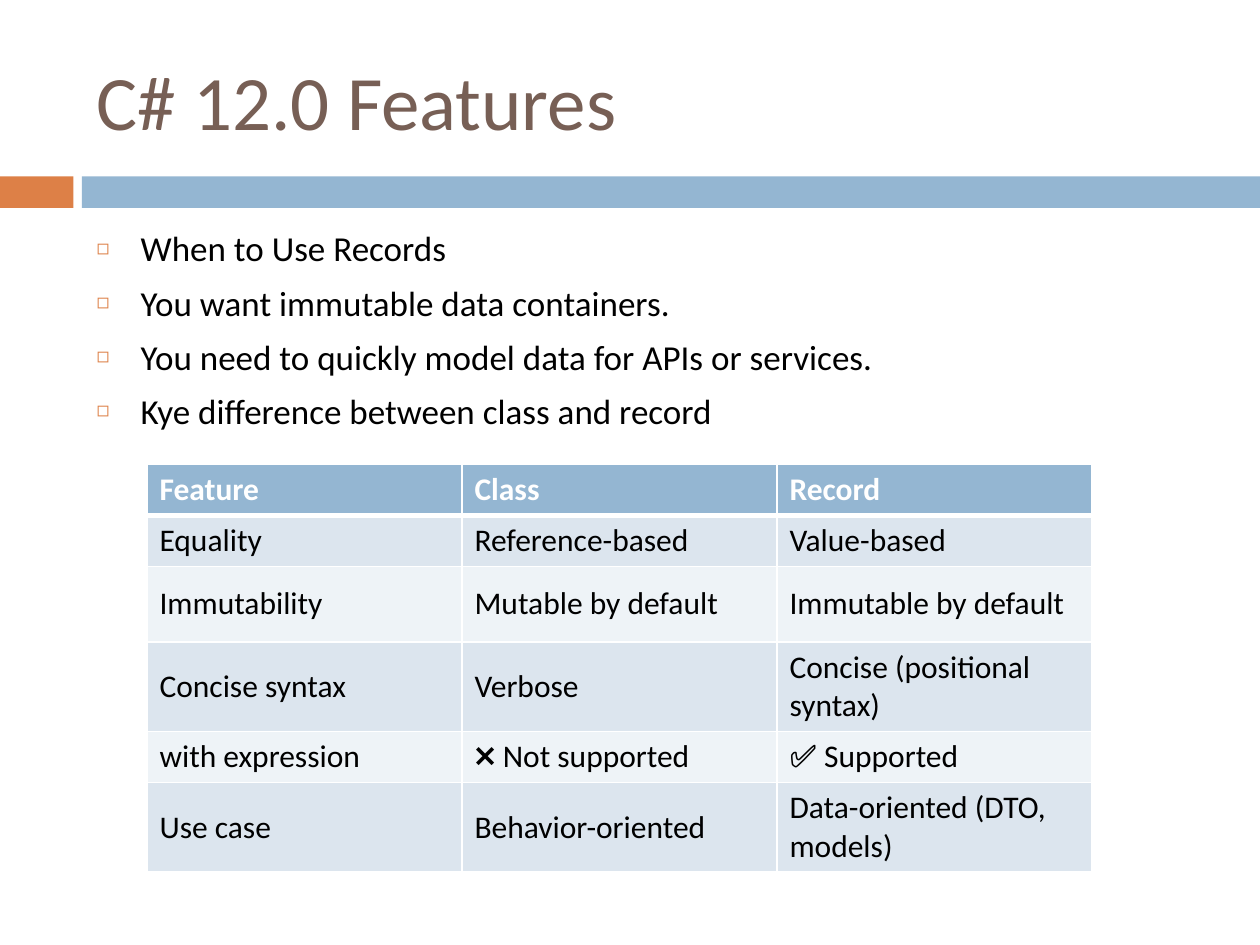
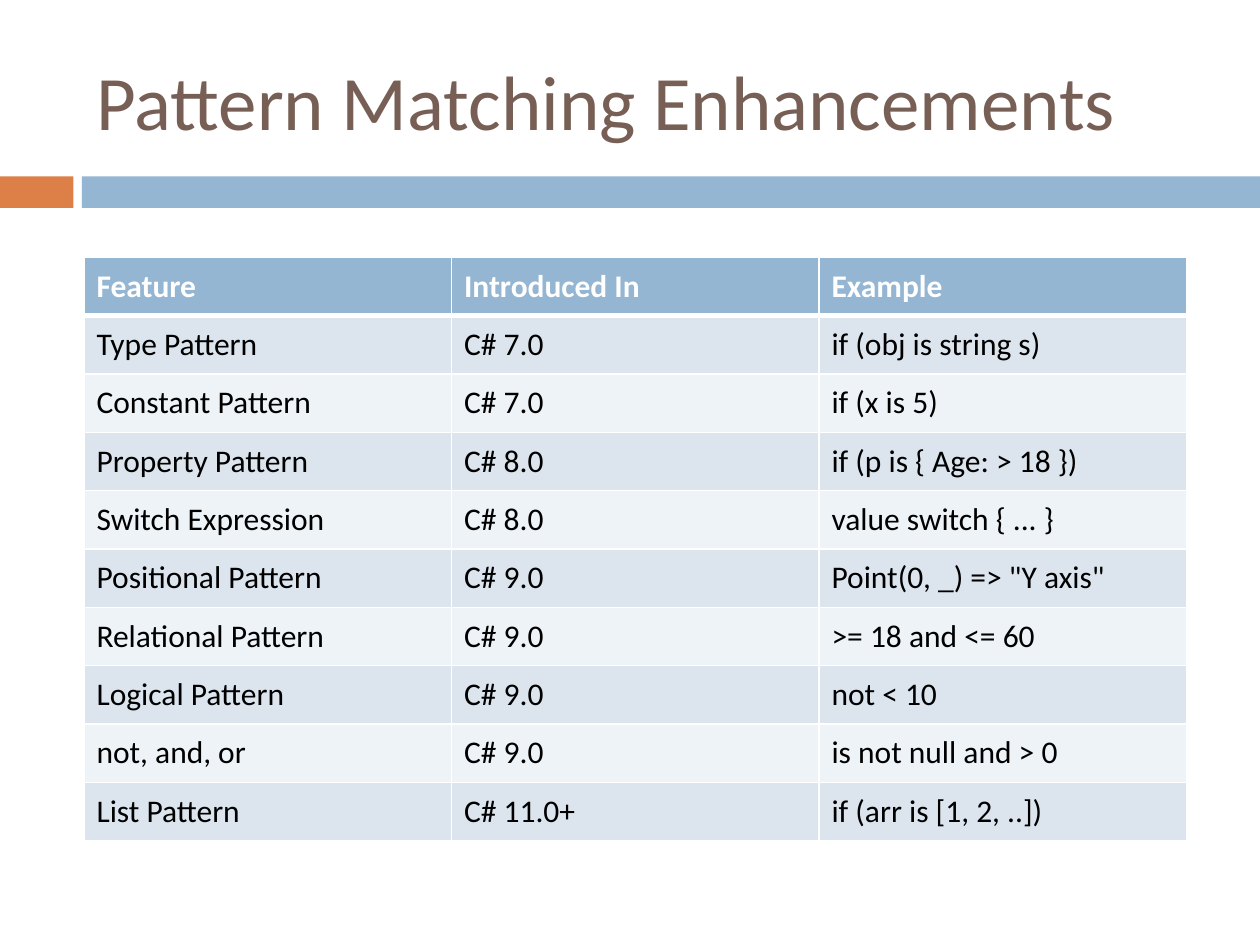
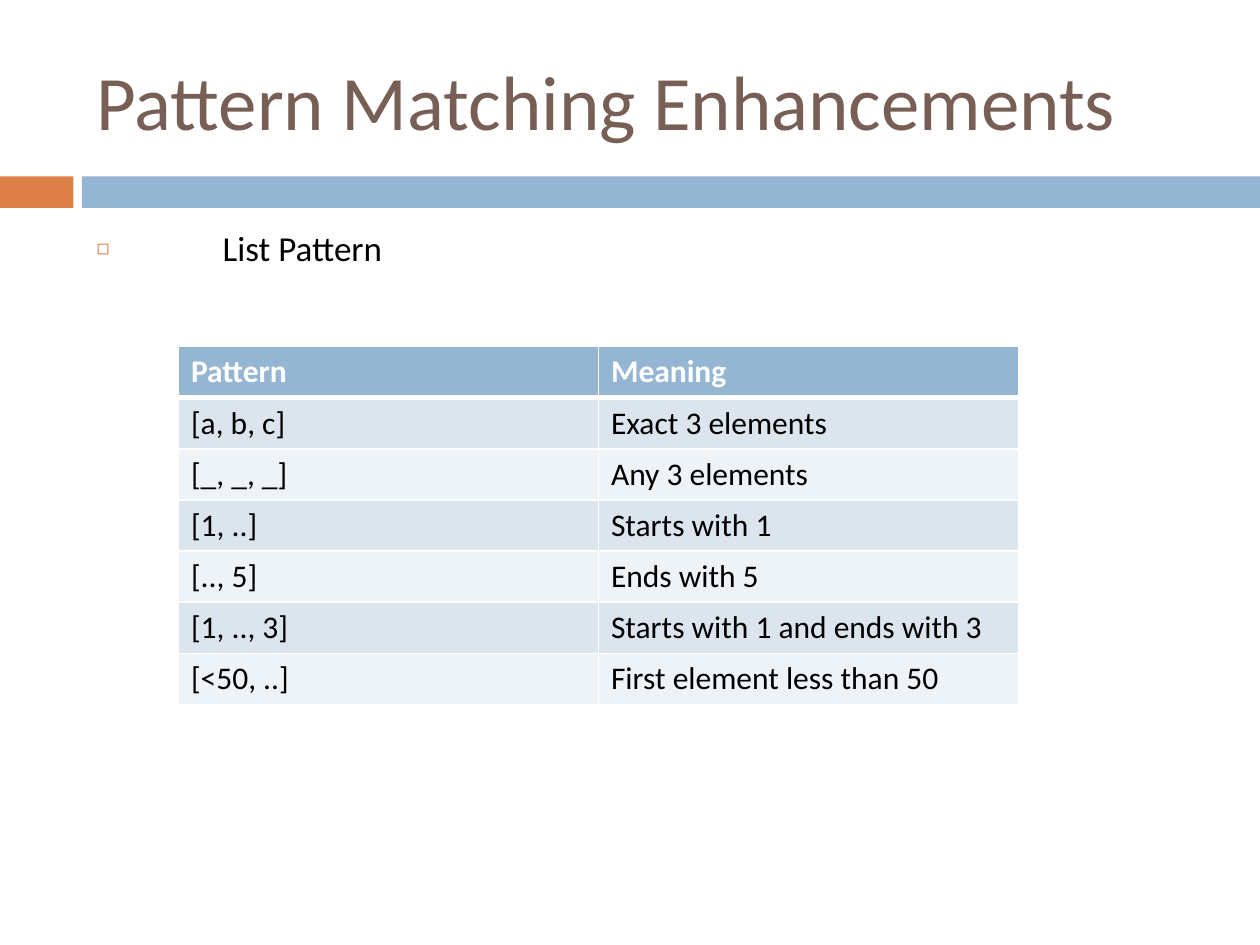
from lxml import etree
from pptx import Presentation
from pptx.dml.color import RGBColor
from pptx.enum import shapes, text
from pptx.oxml.ns import qn
from pptx.util import Pt

PX = 7620  # EMU per px, 120 px to the inch

COLORS = {
    "title": "775F55", "text": "000000", "white": "FFFFFF",
    "orange": "DD8047", "blue": "94B6D2",
    "odd_row": "DCE5EE", "even_row": "EEF3F7",
}
FORMATS = {
    "title": {"size": Pt(44), "bold": False},
    "list": {"size": Pt(20), "bold": False},
    "header": {"size": Pt(18), "bold": True},
    "row": {"size": Pt(18), "bold": False},
}
BANDS = [(0, 70, "orange"), (78, 1122, "blue")]
PLACES = [(80, 30, 1070, 130), (80, 210, 1070, 590)]  # title, list

SLIDES = [
    {
        "title": "C# 12.0 Features",
        "list": [
            "When to Use Records",
            "You want immutable data containers.",
            "You need to quickly model data for APIs or services.",
            "Kye difference between class and record",
        ],
        "list_indent": 42,
        "table_place": (140, 442, 900, 341),
        "row_heights": [41, 42, 72, 72, 42, 72],
        "table": [
            ("Feature", "Class", "Record"),
            ("Equality", "Reference-based", "Value-based"),
            ("Immutability", "Mutable by default", "Immutable by default"),
            ("Concise syntax", "Verbose", "Concise (positional syntax)"),
            ("with expression", "❌ Not supported", "✅ Supported"),
            ("Use case", "Behavior-oriented", "Data-oriented (DTO, models)"),
        ],
    },
    {
        "title": "Pattern Matching Enhancements",
        "list": [],
        "table_place": (80, 245, 1050, 556),
        "table": [
            ("Feature", "Introduced In", "Example"),
            ("Type Pattern", "C# 7.0", "if (obj is string s)"),
            ("Constant Pattern", "C# 7.0", "if (x is 5)"),
            ("Property Pattern", "C# 8.0", "if (p is { Age: > 18 })"),
            ("Switch Expression", "C# 8.0", "value switch { ... }"),
            ("Positional Pattern", "C# 9.0", 'Point(0, _) => "Y axis"'),
            ("Relational Pattern", "C# 9.0", ">= 18 and <= 60"),
            ("Logical Pattern", "C# 9.0", "not < 10"),
            ("not, and, or", "C# 9.0", "is not null and > 0"),
            ("List Pattern", "C# 11.0+", "if (arr is [1, 2, ..])"),
        ],
    },
    {
        "title": "Pattern Matching Enhancements",
        "list": ["List Pattern"],
        "list_indent": 120,
        "table_place": (170, 330, 800, 341),
        "table": [
            ("Pattern", "Meaning"),
            ("[a, b, c]", "Exact 3 elements"),
            ("[_, _, _]", "Any 3 elements"),
            ("[1, ..]", "Starts with 1"),
            ("[.., 5]", "Ends with 5"),
            ("[1, .., 3]", "Starts with 1 and ends with 3"),
            ("[<50, ..]", "First element less than 50"),
        ],
    },
]


def write(paragraph, content, style, color):
    run = paragraph.add_run()
    run.text = content
    paragraph.alignment = text.PP_ALIGN.LEFT
    run.font.name = "Calibri"
    run.font.color.rgb = RGBColor.from_string(COLORS[color])
    for name, value in FORMATS[style].items():
        setattr(run.font, name, value)


def add_xml(parent, tag, **attributes):
    return etree.SubElement(parent, qn(tag), attributes)


prs = Presentation()
prs.slide_width, prs.slide_height = 1200 * PX, 900 * PX

# Shared layout: title and list places, no footers
layout = prs.slide_layouts[1]
title_area, list_area, *footers = layout.placeholders
for footer in footers:
    footer.element.getparent().remove(footer.element)
for area, place in zip((title_area, list_area), PLACES):
    area.left, area.top, area.width, area.height = (v * PX for v in place)
title_area.text_frame.vertical_anchor = text.MSO_ANCHOR.MIDDLE

for number, content in enumerate(SLIDES):
    slide = prs.slides.add_slide(layout)

    # The bands are drawn once and then belong to the layout
    if number == 0:
        for left, width, color in BANDS:
            band = slide.shapes.add_shape(
                shapes.MSO_SHAPE.RECTANGLE, left * PX, 168 * PX, width * PX, 30 * PX)
            band.shadow.inherit = False
            band.fill.solid()
            band.fill.fore_color.rgb = RGBColor.from_string(COLORS[color])
            band.line.fill.background()
            layout.shapes.element.append(band.element)

    write(slide.shapes.title.text_frame.paragraphs[0], content["title"], "title", "title")

    points = slide.placeholders[1]
    if not content["list"]:
        points.element.getparent().remove(points.element)
    for index, point in enumerate(content["list"]):
        frame = points.text_frame
        paragraph = frame.add_paragraph() if index else frame.paragraphs[0]
        write(paragraph, point, "list", "text")
        paragraph.space_before = Pt(7)
        indent = content["list_indent"] * PX
        properties = paragraph._p.get_or_add_pPr()
        properties.set("marL", str(indent))
        properties.set("indent", str(-indent))
        bullet_color = add_xml(properties, "a:buClr")
        add_xml(bullet_color, "a:srgbClr", val=COLORS["orange"])
        add_xml(properties, "a:buSzPct", val="60000")
        add_xml(properties, "a:buChar", char="◻")

    rows = content["table"]
    place = [v * PX for v in content["table_place"]]
    table = slide.shapes.add_table(len(rows), len(rows[0]), *place).table
    for row, height in zip(table.rows, content.get("row_heights", [])):
        row.height = height * PX

    for r, values in enumerate(rows):
        if r == 0:
            style, color, fill = "header", "white", "blue"
        else:
            style, color, fill = "row", "text", "odd_row" if r % 2 else "even_row"
        for c, value in enumerate(values):
            cell = table.cell(r, c)
            cell.vertical_anchor = text.MSO_ANCHOR.MIDDLE
            write(cell.text_frame.paragraphs[0], value, style, color)
            for side in "LRTB":
                under_header = (r, side) in ((0, "B"), (1, "T"))
                border = add_xml(cell._tc.get_or_add_tcPr(), f"a:ln{side}",
                                 w=str(Pt(3 if under_header else 1)))
                add_xml(add_xml(border, "a:solidFill"), "a:srgbClr", val=COLORS["white"])
            cell.fill.solid()
            cell.fill.fore_color.rgb = RGBColor.from_string(COLORS[fill])

prs.save("out.pptx")
